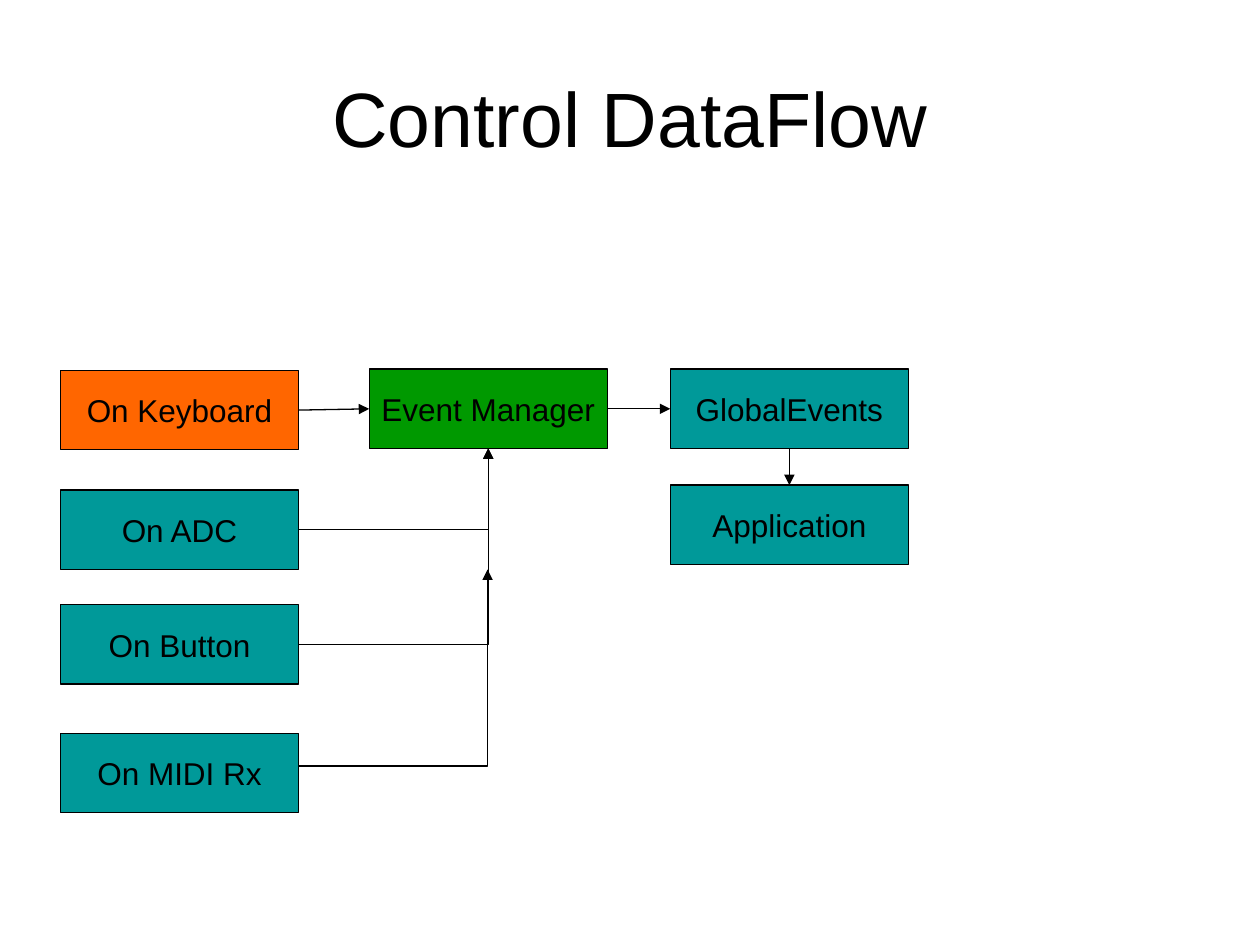
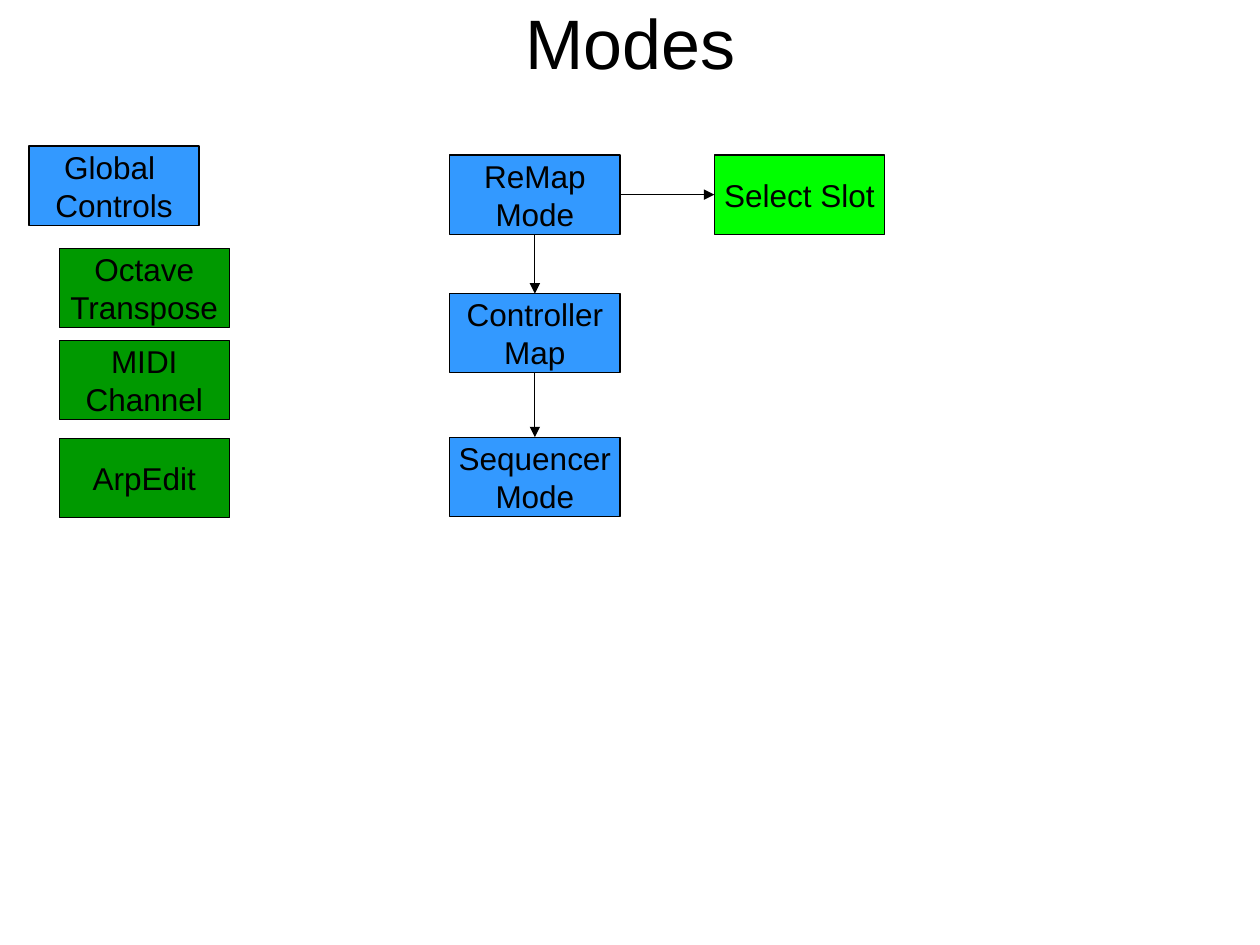
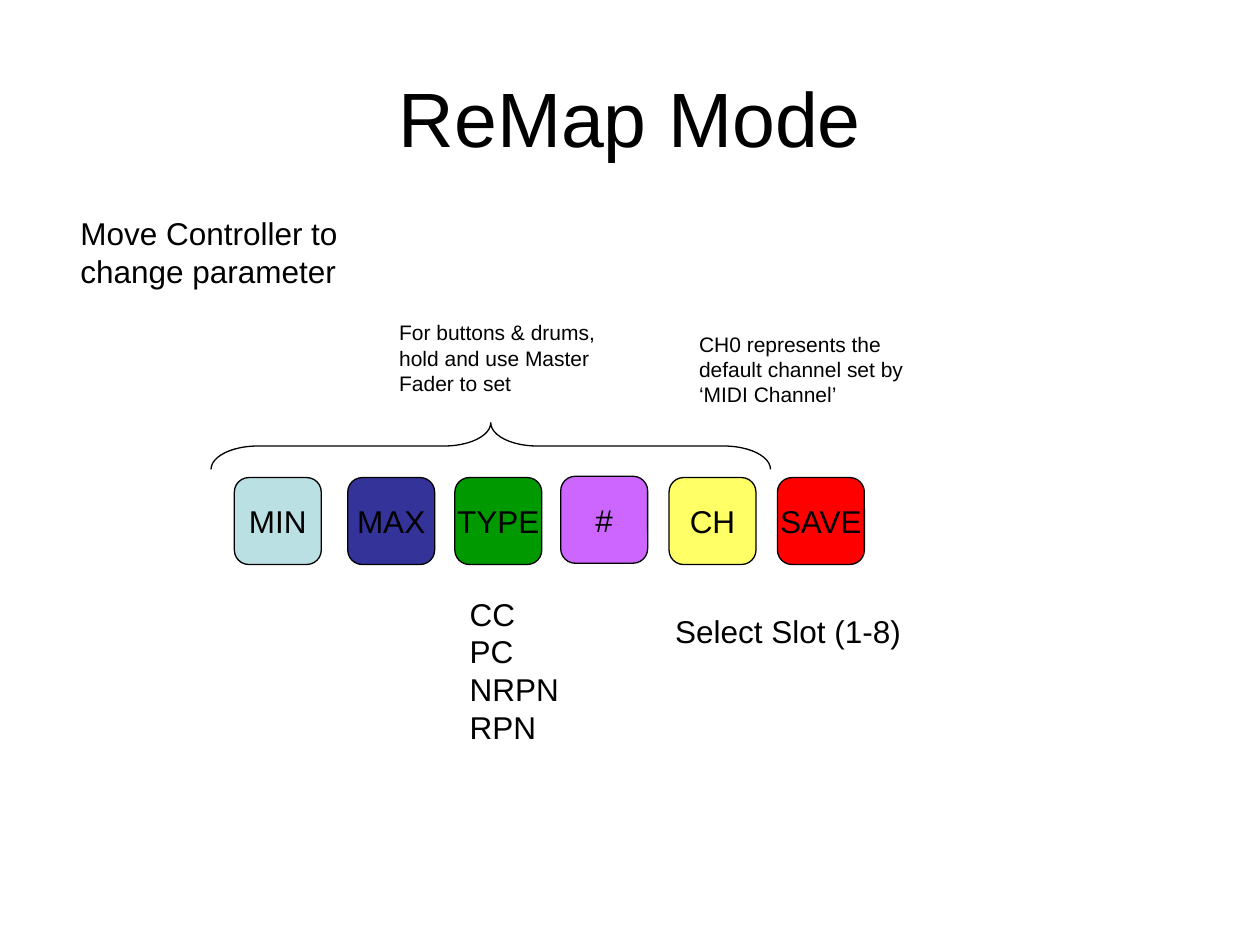
"""Builds three slides on control data flow, modes and the remap mode."""
from lxml.etree import SubElement
from pptx import Presentation
from pptx.dml.color import RGBColor
from pptx.enum.shapes import MSO_CONNECTOR, MSO_SHAPE
from pptx.enum.text import MSO_ANCHOR, PP_ALIGN
from pptx.oxml.ns import qn
from pptx.util import Inches, Pt

FONT = "Arial"
COLORS = {
    "black": "000000", "teal": "009999", "orange": "FF6600", "green": "009900",
    "blue": "3399FF", "lime": "00FF00", "pale": "BBE0E3", "navy": "333399",
    "violet": "CC66FF", "yellow": "FFFF66", "red": "FF0000",
}
TOP, LEFT, BOTTOM, RIGHT = range(4)
TITLE_AREA = (0.5, 0.3, 9, 1.25)

FLOW_SIZE = (1.89, 0.63)
FLOW_COLS = (0.48, 2.93, 5.32)
FLOW_BOXES = [
    ("On Keyboard", 0, 2.94, "orange"),
    ("On ADC", 0, 3.89, "teal"),
    ("On Button", 0, 4.8, "teal"),
    ("On MIDI Rx", 0, 5.82, "teal"),
    ("Event Manager", 1, 2.93, "green"),
    ("GlobalEvents", 2, 2.93, "teal"),
    ("Application", 2, 3.85, "teal"),
]
FLOW_LINKS = [
    ("On Keyboard", RIGHT, "Event Manager", LEFT),
    ("On ADC", RIGHT, "Event Manager", BOTTOM),
    ("On Button", RIGHT, "Event Manager", BOTTOM),
    ("Event Manager", RIGHT, "GlobalEvents", LEFT),
    ("GlobalEvents", BOTTOM, "Application", TOP),
]
MIDI_LINK = (2.37, 6.08, 3.87, 4.52)

MODE_SIZE = (1.35, 0.63)
MODE_COLS = (0.23, 0.47, 3.57, 5.67)
MODE_BOXES = [
    ("Global \nControls", 0, 1.16, "blue"),
    ("Octave\nTranspose", 1, 1.97, "green"),
    ("MIDI\nChannel", 1, 2.7, "green"),
    ("ArpEdit", 1, 3.48, "green"),
    ("ReMap\nMode", 2, 1.23, "blue"),
    ("Controller\nMap", 2, 2.33, "blue"),
    ("Sequencer\nMode", 2, 3.47, "blue"),
    ("Select Slot", 3, 1.23, "lime"),
]
MODE_LINKS = [
    ("ReMap\nMode", BOTTOM, "Controller\nMap", TOP),
    ("Controller\nMap", BOTTOM, "Sequencer\nMode", TOP),
    ("ReMap\nMode", RIGHT, "Select Slot", LEFT),
]

BUTTON_SIZE = (0.69, 0.69)
BUTTON_COLS = (1.86, 2.76, 3.61, 4.45, 5.31, 6.17)
BUTTONS = [
    ("MIN", 0, 3.79, "pale"),
    ("MAX", 1, 3.79, "navy"),
    ("TYPE", 2, 3.79, "green"),
    ("#", 3, 3.78, "violet"),
    ("CH", 4, 3.79, "yellow"),
    ("SAVE", 5, 3.79, "red"),
]
BRACE = (3.71, 1.32, 0.37, 4.44)
NOTES = [
    ("Select Slot (1-8)", (5.26, 4.81, 2.02, 0.4), 18),
    ("Move Controller to change parameter", (0.54, 1.65, 2.33, 0.7), 18),
    ("CC\vPC\vNRPN\vRPN", (3.63, 4.67, 0.96, 1.3), 18),
    ("For buttons & drums,\vhold and use Master Fader to set", (3.07, 2.49, 1.87, 0.7), 12),
    ("CH0 represents the default channel set by ‘MIDI Channel’", (5.45, 2.58, 1.87, 0.7), 12),
]


def inches(values):
    return [Inches(v) for v in values]


def rgb(name):
    return RGBColor.from_string(COLORS[name])


def outline(sp):
    sp.line.color.rgb = rgb("black")
    sp.line.width = Pt(0.75)


def write(sp, text, size, align=PP_ALIGN.LEFT, anchor=MSO_ANCHOR.TOP, wrap=True):
    tf = sp.text_frame
    tf.word_wrap = wrap
    tf.vertical_anchor = anchor
    tf.text = text
    for p in tf.paragraphs:
        p.alignment = align
        p.font.name = FONT
        p.font.size = Pt(size)
        p.font.color.rgb = rgb("black")


def add_text(s, text, area, size, **style):
    write(s.shapes.add_textbox(*inches(area)), text, size, **style)


def add_slide(prs, title, area=TITLE_AREA, size=44):
    s = prs.slides.add_slide(prs.slide_layouts[6])
    add_text(s, title, area, size, align=PP_ALIGN.CENTER, anchor=MSO_ANCHOR.MIDDLE)
    return s


def add_shape(s, kind, area):
    sp = s.shapes.add_shape(kind, *inches(area))
    sp.shadow.inherit = False
    outline(sp)
    return sp


def add_boxes(s, boxes, cols, size, kind=MSO_SHAPE.RECTANGLE):
    made = {}
    for text, col, top, color in boxes:
        sp = add_shape(s, kind, (cols[col], top, *size))
        sp.fill.solid()
        sp.fill.fore_color.rgb = rgb(color)
        write(sp, text, 18, PP_ALIGN.CENTER, MSO_ANCHOR.MIDDLE, wrap=False)
        made[text] = sp
    return made


def add_arrow(s, ends=(0, 0, 0, 0), corner=False):
    kind = MSO_CONNECTOR.ELBOW if corner else MSO_CONNECTOR.STRAIGHT
    cxn = s.shapes.add_connector(kind, *inches(ends))
    outline(cxn)
    spPr = cxn._element.spPr
    if corner:
        spPr.find(qn("a:prstGeom")).set("prst", "bentConnector2")
    SubElement(spPr.find(qn("a:ln")), qn("a:tailEnd"), type="triangle")
    SubElement(spPr, qn("a:effectLst"))
    return cxn


def link_boxes(s, boxes, links):
    for start, start_side, end, end_side in links:
        cxn = add_arrow(s, corner=(start_side, end_side) == (RIGHT, BOTTOM))
        cxn.begin_connect(boxes[start], start_side)
        cxn.end_connect(boxes[end], end_side)


def main():
    prs = Presentation()
    prs.slide_width, prs.slide_height = inches((10, 7.5))

    s = add_slide(prs, "Control DataFlow")
    link_boxes(s, add_boxes(s, FLOW_BOXES, FLOW_COLS, FLOW_SIZE), FLOW_LINKS)
    add_arrow(s, MIDI_LINK, corner=True)

    s = add_slide(prs, "Modes", (0.5, 0, 9, 0.66), 40)
    link_boxes(s, add_boxes(s, MODE_BOXES, MODE_COLS, MODE_SIZE), MODE_LINKS)

    s = add_slide(prs, "ReMap Mode")
    add_boxes(s, BUTTONS, BUTTON_COLS, BUTTON_SIZE, MSO_SHAPE.ROUNDED_RECTANGLE)
    for text, area, size in NOTES:
        add_text(s, text, area, size)
    brace = add_shape(s, MSO_SHAPE.LEFT_BRACE, BRACE)
    brace.fill.background()
    brace.adjustments[0] = 1
    brace.rotation = 90

    prs.save("out.pptx")


if __name__ == "__main__":
    main()
